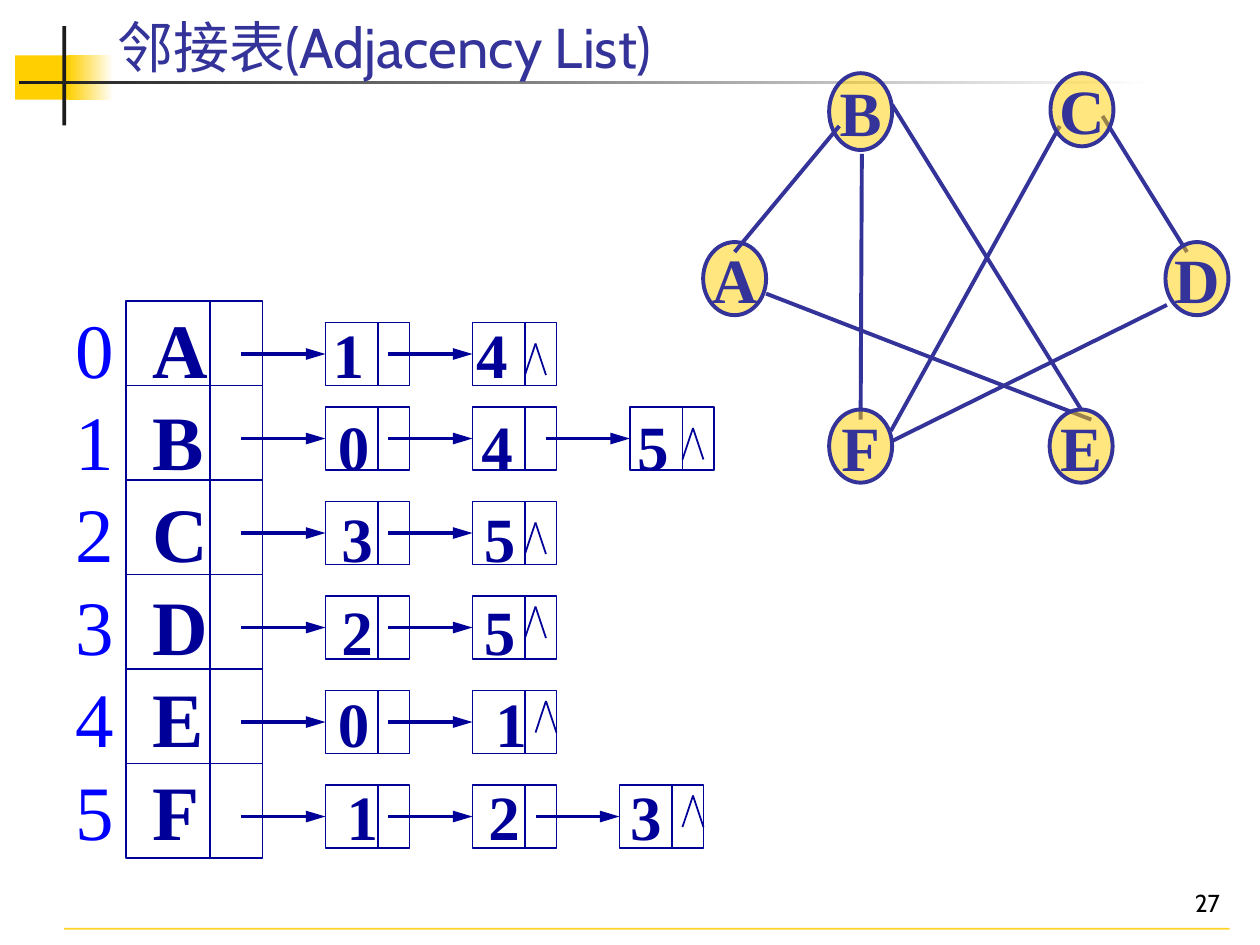
from lxml import etree
from pptx import Presentation
from pptx import util as u
from pptx.dml import color
from pptx.enum import shapes, text
from pptx.oxml import ns

NAVY, INDIGO, YELLOW, INK = "000099", "333399", "FFCF01", "1C1C1C"
SERIF, SANS = "Times New Roman", "Cabin"


def rgb(hex_string):
    return color.RGBColor.from_string(hex_string)


def sub(parent, tag, **attributes):
    return etree.SubElement(parent, ns.qn(tag), **attributes)


def set_alpha(fill_owner, percent):
    for colour in fill_owner.iter(ns.qn("a:srgbClr")):
        sub(colour, "a:alpha", val=str(percent * 1000))


def add_text(paragraph, words, size, hue, font=SANS, bold=False):
    run = paragraph.add_run()
    run.text = words
    run.font.size, run.font.name, run.font.bold = u.Pt(size), font, bold
    run.font.color.rgb = rgb(hue)


def add_box(slide, left, top, width, height, anchor=text.MSO_ANCHOR.TOP):
    box = slide.shapes.add_textbox(*map(u.Pt, (left, top, width, height)))
    frame = box.text_frame
    frame.word_wrap = True
    frame.vertical_anchor = anchor
    return frame


def add_shape(slide, left, top, width, height, fill=None, fade=False, line=None,
              weight=1, kind=shapes.MSO_SHAPE.RECTANGLE):
    shape = slide.shapes.add_shape(kind, *map(u.Pt, (left, top, width, height)))
    shape.shadow.inherit = False
    if fade:
        shape.fill.gradient()
        shape.fill.gradient_angle = 0
        for stop, hue, position in zip(shape.fill.gradient_stops, (fill, "FFFFFF"), (0, 1)):
            stop.color.rgb = rgb(hue)
            stop.position = position
    elif fill:
        shape.fill.solid()
        shape.fill.fore_color.rgb = rgb(fill)
    else:
        shape.fill.background()
    if line:
        shape.line.color.rgb = rgb(line)
        shape.line.width = u.Pt(weight)
    else:
        shape.line.fill.background()
    return shape


def add_line(slide, x1, y1, x2, y2, hue=NAVY, weight=1, arrow=False):
    line = slide.shapes.add_connector(
        shapes.MSO_CONNECTOR.STRAIGHT, *map(u.Pt, (x1, y1, x2, y2)))
    line.line.color.rgb = rgb(hue)
    line.line.width = u.Pt(weight)
    if arrow:
        sub(line.line._get_or_add_ln(), "a:tailEnd", type="triangle", w="med", len="lg")
    sub(line._element.spPr, "a:effectLst")
    return line


def draw_frame(slide, width, height):
    # Corner ornament, footer rule and page number
    add_shape(slide, 8.6, 31.7, 34.6, 25.2, YELLOW)
    add_shape(slide, 38.9, 31.7, 25.9, 25.2, YELLOW, fade=True)
    add_shape(slide, 35.6, 15, 2.2, 56.6, INK)
    add_shape(slide, 10.8, 46.2, 648, 1.6, INK, fade=True)
    rule = add_line(slide, 36.7, height - 9.3, width - 17.3, height - 9.3, "FFCC00")
    set_alpha(rule._element.spPr, 83)
    number = add_box(slide, width - 165.6, height - 48.2, 149.8, 36, text.MSO_ANCHOR.BOTTOM)
    number.paragraphs[0].alignment = text.PP_ALIGN.RIGHT
    add_text(number.paragraphs[0], "27", 14, "000000")


def draw_title(slide, left, top, width, height):
    title = add_box(slide, left, top, width, height, text.MSO_ANCHOR.BOTTOM)
    add_text(title.paragraphs[0], "邻接表(Adjacency List)", 32, INDIGO)


# Vertex, neighbours with their tab stops, node offsets, end mark offset in last node
ROWS = [
    ("A", {"1": 147, "4": 229}, (114, 198), (36, 12)),
    ("B", {"0": 150, "4": 232, "5": 321}, (114, 198, 288), (36, 12)),
    ("C", {"3": 152, "5": 233.5}, (114, 198), (36, 12)),
    ("D", {"2": 152, "5": 233.5}, (114, 198), (36, 6)),
    ("E", {"0": 150, "1": 240}, (114, 198), (42, 6)),
    ("F", {"1": 155, "2": 236, "3": 317}, (114, 198, 282), (42, 6)),
]


def draw_labels(slide, left, top, width, height):
    frame = add_box(slide, left, top, width, height)
    for index, (vertex, neighbours, _, _) in enumerate(ROWS):
        paragraph = frame.paragraphs[0] if index == 0 else frame.add_paragraph()
        stops = sub(paragraph._p.get_or_add_pPr(), "a:tabLst")
        for position in (44, *neighbours.values()):
            sub(stops, "a:tab", pos=str(u.Pt(position)), algn="l")
        paragraph.line_spacing = u.Pt(52.8)
        add_text(paragraph, str(index), 44, "0000FF", SERIF)
        add_text(paragraph, "\t" + vertex, 44, NAVY, SERIF, bold=True)
        add_text(paragraph, "".join("\t" + n for n in neighbours), 36, NAVY, SERIF, bold=True)


def draw_lists(slide, left, top, width, height):
    # Vertex array
    add_shape(slide, left, top, width, height, line=NAVY)
    for index in range(len(ROWS) - 1):
        y = top + 48.2 + 54 * index
        add_line(slide, left, y, left + width, y)
    add_line(slide, left + 48, top, left + 48, top + height)
    # Linked nodes of each row, closed by an end mark
    for index, (_, _, offsets, (mark_x, mark_y)) in enumerate(ROWS):
        y = top + (12.2 if index == 0 else 6.5 + 54 * index)
        for offset in offsets:
            x = left + offset
            add_shape(slide, x, y, 48, 36, line=NAVY)
            add_line(slide, x + 30, y, x + 30, y + 36)
            add_line(slide, x - 48, y + 18, x, y + 18, weight=2.25, arrow=True)
        tip_x, tip_y = x + mark_x, y + mark_y
        for side in (-6, 6):
            add_line(slide, tip_x, tip_y, tip_x + side, tip_y + 18)


def draw_graph(slide, left, top):
    vertices = {"B": (72, 0), "A": (0, 96.5), "C": (198.5, 0),
                "D": (264.2, 96.5), "F": (72, 192.2), "E": (198, 192.2)}
    edges = [
        (77.8, 30.2, 18, 102.2),      # B-A
        (108, 18, 216, 192.2),        # B-E
        (36, 126, 221.8, 198),        # A-E
        (203.8, 30.2, 107.3, 204.5),  # C-F
        (228.2, 24.5, 276.5, 102.2),  # C-D
        (265, 132.5, 108, 210.2),     # D-F
        (90.7, 46.1, 90, 198),        # B-F
    ]

    def draw_vertex(letter):
        x, y = vertices[letter]
        circle = add_shape(slide, left + x, top + y, 36, 43.9 if letter == "B" else 41.8,
                           YELLOW, line=INDIGO, weight=2.25, kind=shapes.MSO_SHAPE.OVAL)
        set_alpha(circle._element.spPr.find(ns.qn("a:solidFill")), 50)
        frame = circle.text_frame
        frame.word_wrap = False
        frame.vertical_anchor = text.MSO_ANCHOR.MIDDLE
        frame.paragraphs[0].alignment = text.PP_ALIGN.CENTER
        add_text(frame.paragraphs[0], letter, 36, INDIGO, SERIF, bold=True)

    # Edges lie above A and B, below the other vertices
    for letter in "BA":
        draw_vertex(letter)
    for x1, y1, x2, y2 in edges:
        add_line(slide, left + x1, top + y1, left + x2, top + y2, INDIGO, 2.25)
    for letter in "CDFE":
        draw_vertex(letter)


def main():
    deck = Presentation()
    deck.slide_width, deck.slide_height = u.Pt(720), u.Pt(540)
    slide = deck.slides.add_slide(deck.slide_layouts[6])
    draw_frame(slide, 720, 540)
    draw_title(slide, 59.8, 21.6, 613.4, 27.4)
    draw_labels(slide, 36, 168.5, 390, 324)
    draw_lists(slide, 72, 172.1, 78, 318.2)
    draw_graph(slide, 401.8, 41.8)
    deck.save("out.pptx")


if __name__ == "__main__":
    main()
